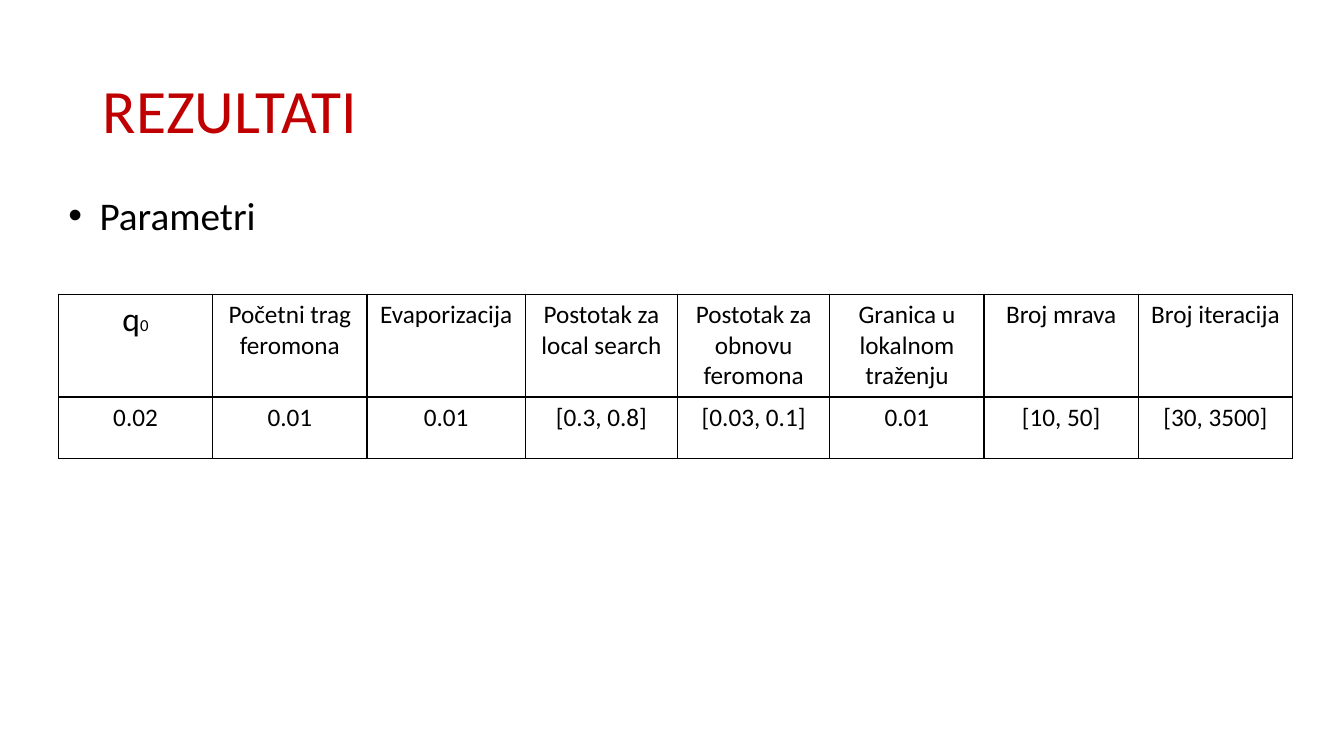
from dataclasses import dataclass

from lxml.etree import SubElement
from pptx import Presentation
from pptx.dml.color import RGBColor
from pptx.enum.text import MSO_ANCHOR, MSO_AUTO_SIZE, PP_ALIGN
from pptx.oxml.ns import qn
from pptx.slide import Slide
from pptx.table import _Cell
from pptx.text.text import _Paragraph
from pptx.util import Emu, Inches, Pt

SLIDE_WIDTH, SLIDE_HEIGHT = Inches(13.33), Inches(7.5)
FONT = "Calibri"
BLACK, RED = "000000", "C00000"


@dataclass(frozen=True)
class Box:
    """Position and size in percent of the slide."""
    left: float
    top: float
    width: float
    height: float

    def place(self) -> tuple[Emu, Emu, Emu, Emu]:
        return across(self.left), down(self.top), across(self.width), down(self.height)


@dataclass(frozen=True)
class Words:
    text: str
    size: float = 18
    color: str = BLACK


@dataclass(frozen=True)
class Parameter:
    name: tuple[Words, ...]
    value: str
    width: float = 11.48


PARAMETERS = (
    Parameter((Words("q", 24), Words("0", 12)), "0.02"),
    Parameter((Words("Početni trag feromona"),), "0.01"),
    Parameter((Words("Evaporizacija"),), "0.01", 11.78),
    Parameter((Words("Postotak za local search"),), "[0.3, 0.8]", 11.33),
    Parameter((Words("Postotak za obnovu feromona"),), "[0.03, 0.1]", 11.33),
    Parameter((Words("Granica u lokalnom traženju"),), "0.01"),
    Parameter((Words("Broj mrava"),), "[10, 50]"),
    Parameter((Words("Broj iteracija"),), "[30, 3500]"),
)
ROW_HEIGHTS = (13.6, 8.13)
TITLE_BOX = Box(6.9, 5.33, 86.27, 19.33)
BULLET_BOX = Box(4.35, 24.67, 15.6, 7.6)
TABLE_BOX = Box(4.35, 38.93, sum(p.width for p in PARAMETERS), sum(ROW_HEIGHTS))


def across(percent: float) -> Emu:
    return Emu(round(SLIDE_WIDTH * percent / 100))


def down(percent: float) -> Emu:
    return Emu(round(SLIDE_HEIGHT * percent / 100))


def rgb(color: str) -> RGBColor:
    return RGBColor.from_string(color)


def write(paragraph: _Paragraph, *pieces: Words) -> None:
    for piece in pieces:
        run = paragraph.add_run()
        run.text = piece.text
        run.font.name = FONT
        run.font.size = Pt(piece.size)
        run.font.color.rgb = rgb(piece.color)


def add_title(slide: Slide) -> None:
    heading = slide.shapes.title
    heading.left, heading.top, heading.width, heading.height = TITLE_BOX.place()
    heading.text_frame.vertical_anchor = MSO_ANCHOR.MIDDLE
    paragraph = heading.text_frame.paragraphs[0]
    paragraph.alignment = PP_ALIGN.LEFT
    paragraph.line_spacing = 0.9
    write(paragraph, Words("REZULTATI", 44, RED))


def add_bullet(slide: Slide) -> None:
    frame = slide.shapes.add_textbox(*BULLET_BOX.place()).text_frame
    frame.word_wrap = False
    frame.auto_size = MSO_AUTO_SIZE.SHAPE_TO_FIT_TEXT
    paragraph = frame.paragraphs[0]
    write(paragraph, Words("Parametri", 28))
    properties = paragraph._p.get_or_add_pPr()
    indent = Inches(0.31)
    properties.set("marL", str(indent))
    properties.set("indent", str(-indent))
    SubElement(properties, qn("a:buFont"), typeface="Arial")
    SubElement(properties, qn("a:buChar"), char="•")


def add_borders(cell: _Cell) -> None:
    properties = cell._tc.get_or_add_tcPr()
    for position, side in enumerate(("a:lnL", "a:lnR", "a:lnT", "a:lnB")):
        line = SubElement(properties, qn(side), w=str(Pt(1)))
        fill = SubElement(line, qn("a:solidFill"))
        SubElement(fill, qn("a:srgbClr"), val=BLACK)
        properties.insert(position, line)  # borders come before the fill


def fill_cell(cell: _Cell, *pieces: Words) -> None:
    cell.fill.background()
    add_borders(cell)
    paragraph = cell.text_frame.paragraphs[0]
    paragraph.alignment = PP_ALIGN.CENTER
    write(paragraph, *pieces)


def add_parameters(slide: Slide) -> None:
    frame = slide.shapes.add_table(len(ROW_HEIGHTS), len(PARAMETERS), *TABLE_BOX.place())
    table = frame.table
    table.first_row = table.horz_banding = False
    for row, height in zip(table.rows, ROW_HEIGHTS):
        row.height = down(height)
    for index, parameter in enumerate(PARAMETERS):
        table.columns[index].width = across(parameter.width)
        fill_cell(table.cell(0, index), *parameter.name)
        fill_cell(table.cell(1, index), Words(parameter.value))


def main() -> None:
    presentation = Presentation()
    presentation.slide_width, presentation.slide_height = SLIDE_WIDTH, SLIDE_HEIGHT
    slide = presentation.slides.add_slide(presentation.slide_layouts[5])
    # Heading, bullet line and table of parameters
    add_title(slide)
    add_parameters(slide)
    add_bullet(slide)
    presentation.save("out.pptx")


if __name__ == "__main__":
    main()
